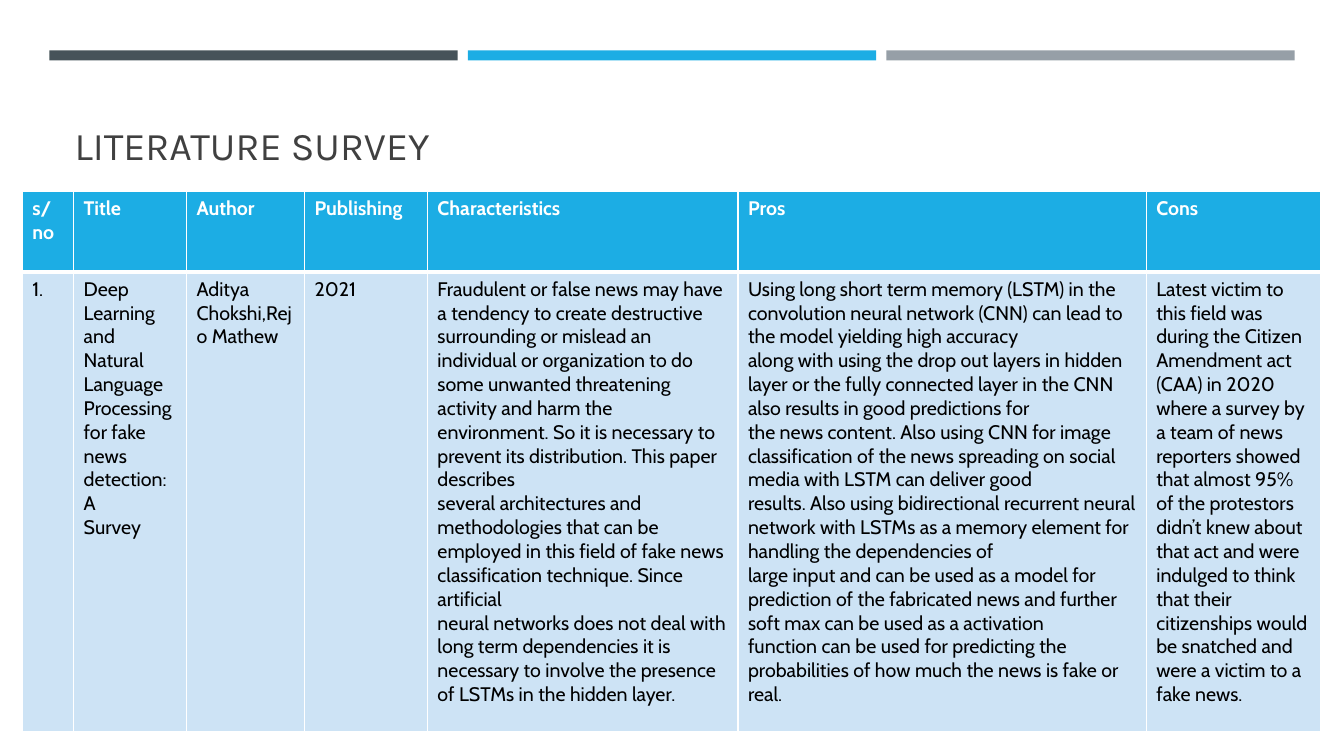
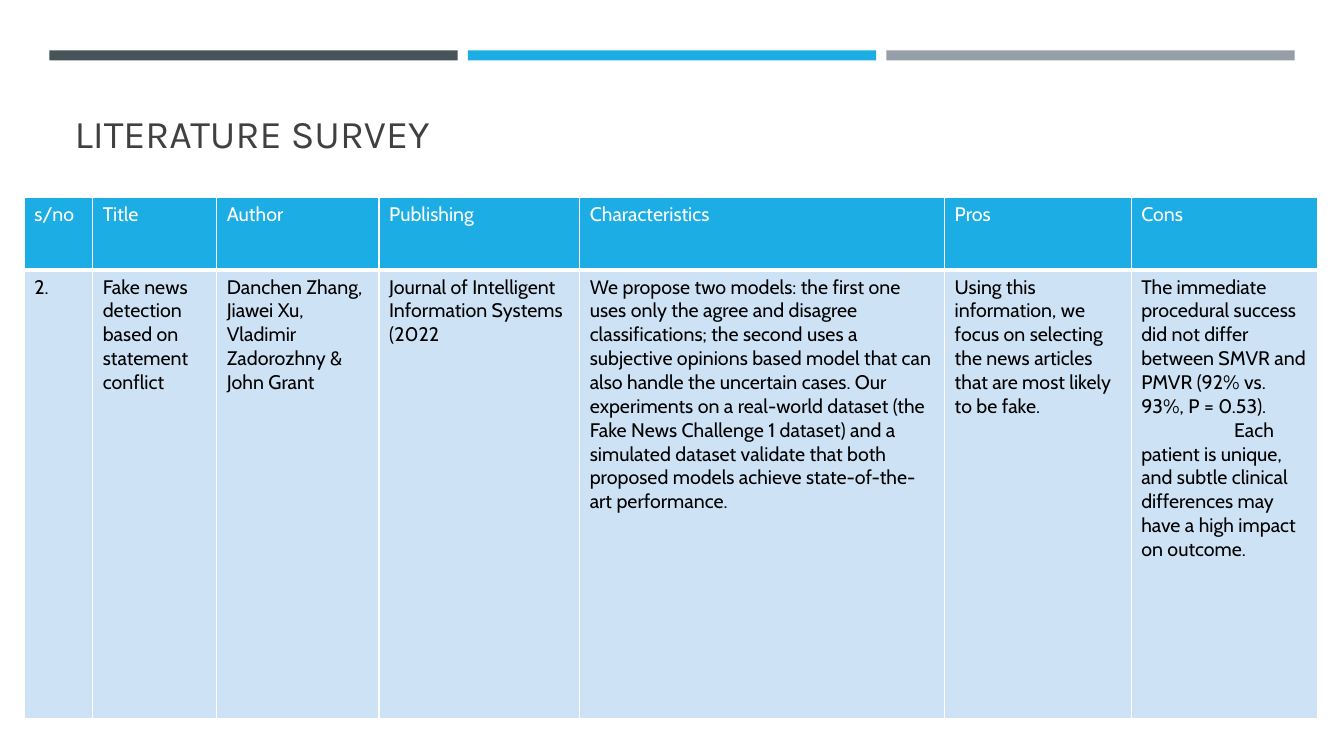
from lxml import etree
from pptx import Presentation
from pptx.dml.color import RGBColor
from pptx.enum.shapes import MSO_SHAPE
from pptx.enum.text import MSO_ANCHOR, PP_ALIGN
from pptx.oxml.ns import qn
from pptx.util import Inches, Pt

COLORS = {
    "dark": "465359",
    "blue": "1CADE4",
    "gray": "969FA7",
    "title": "404040",
    "pale": "CDE3F5",
    "white": "FFFFFF",
    "black": "000000",
}
HEADERS = ["s/no", "Title", "Author", "Publishing", "Characteristics", "Pros", "Cons"]

SURVEYS = [
    {
        "title_box": (0.64, 0.42, 12.06, 1.3),
        "origin": (0.22, 1.9),
        "cols": [0.51, 1.12, 1.17, 1.22, 3.08, 4.05, 1.73],
        "rows": [0.8, 4.56],
        "bold_header": True,
        "entry": [
            ["1."],
            ["Deep Learning and Natural Language Processing for fake news detection: A",
             "Survey"],
            ["Aditya Chokshi,Rejo Mathew"],
            ["2021"],
            ["Fraudulent or false news may have a tendency to create destructive surrounding "
             "or mislead an individual or organization to do",
             "some unwanted threatening activity and harm the environment. So it is necessary "
             "to prevent its distribution. This paper describes",
             "several architectures and methodologies that can be employed in this field of "
             "fake news classification technique. Since artificial",
             "neural networks does not deal with long term dependencies it is necessary to "
             "involve the presence of LSTMs in the hidden layer."],
            ["Using long short term memory (LSTM) in the convolution neural network (CNN) can "
             "lead to the model yielding high accuracy",
             "along with using the drop out layers in hidden layer or the fully connected layer "
             "in the CNN also results in good predictions for",
             "the news content. Also using CNN for image classification of the news spreading "
             "on social media with LSTM can deliver good",
             "results. Also using bidirectional recurrent neural network with LSTMs as a memory "
             "element for handling the dependencies of",
             "large input and can be used as a model for prediction of the fabricated news and "
             "further soft max can be used as a activation",
             "function can be used for predicting the probabilities of how much the news is "
             "fake or real."],
            ["Latest victim to this field was during the Citizen Amendment act (CAA) in 2020 "
             "where a survey by a team of news reporters showed that almost 95% of the "
             "protestors didn’t knew about that act and were indulged to think that their "
             "citizenships would be snatched and were a victim to a fake news."],
        ],
    },
    {
        "title_box": (0.64, 0.37, 12.06, 1.23),
        "origin": (0.24, 1.96),
        "cols": [0.68, 1.23, 1.61, 1.99, 3.62, 1.85, 1.85],
        "rows": [0.72, 4.45],
        "bold_header": False,
        "indent": ("Each patient", 0.92),
        "entry": [
            ["2."],
            ["Fake news detection based on statement conflict"],
            ["Danchen Zhang, Jiawei Xu, Vladimir Zadorozhny & John Grant"],
            ["Journal of Intelligent Information Systems (2022"],
            ["We propose two models: the first one uses only the agree and disagree "
             "classifications; the second uses a subjective opinions based model that can also "
             "handle the uncertain cases. Our experiments on a real-world dataset (the Fake "
             "News Challenge 1 dataset) and a simulated dataset validate that both proposed "
             "models achieve state-of-the-art performance."],
            ["Using this information, we focus on selecting the news articles that are most "
             "likely to be fake."],
            ["The immediate procedural success did not differ between SMVR and PMVR (92% vs. "
             "93%, P = 0.53).",
             "Each patient is unique, and subtle clinical differences may have a high impact "
             "on outcome."],
        ],
    },
]


def add_run(p, text, font, size, color, bold=False):
    r = p.add_run()
    r.text = text
    r.font.name = font
    r.font.size = Pt(size)
    r.font.bold = bold
    r.font.color.rgb = RGBColor.from_string(COLORS[color])


def set_borders(cell, top, bottom):
    tcPr = cell._tc.get_or_add_tcPr()
    sides = [("a:lnL", 1), ("a:lnR", 1), ("a:lnT", top), ("a:lnB", bottom)]
    for i, (tag, width) in enumerate(sides):
        ln = etree.Element(qn(tag), w=str(Pt(width)))
        fill = etree.SubElement(ln, qn("a:solidFill"))
        etree.SubElement(fill, qn("a:srgbClr"), val=COLORS["white"])
        tcPr.insert(i, ln)


prs = Presentation()
prs.slide_width = Inches(13.33)
prs.slide_height = Inches(7.5)
layout = prs.slide_layouts[5]
slides = [prs.slides.add_slide(layout) for _ in SURVEYS]

for i, color in enumerate(["dark", "blue", "gray"]):
    bar = slides[0].shapes.add_shape(
        MSO_SHAPE.RECTANGLE, Inches(0.49 + 4.15 * i), Inches(0.5), Inches(4.05), Inches(0.1))
    bar.shadow.inherit = False
    bar.fill.solid()
    bar.fill.fore_color.rgb = RGBColor.from_string(COLORS[color])
    bar.line.fill.background()
    prs.slide_master.shapes.element.append(bar.element)

for s, survey in zip(slides, SURVEYS):
    title = s.shapes.title
    title.left, title.top, title.width, title.height = map(Inches, survey["title_box"])
    tf = title.text_frame
    tf.word_wrap = True
    tf.vertical_anchor = MSO_ANCHOR.BOTTOM
    p = tf.paragraphs[0]
    p.alignment = PP_ALIGN.LEFT
    add_run(p, "LITERATURE SURVEY", "Karla", 28, "title")

    left, top = survey["origin"]
    table = s.shapes.add_table(
        2, len(HEADERS), Inches(left), Inches(top),
        Inches(sum(survey["cols"])), Inches(sum(survey["rows"]))).table
    table.first_row = False
    table.horz_banding = False
    for column, width in zip(table.columns, survey["cols"]):
        column.width = Inches(width)
    for row, height in zip(table.rows, survey["rows"]):
        row.height = Inches(height)

    indent_start, indent = survey.get("indent", (None, 0))
    styles = [
        ([[h] for h in HEADERS], "blue", "white", survey["bold_header"], 1, 3),
        (survey["entry"], "pale", "black", False, 3, 1),
    ]
    for row, (texts, fill, color, bold, above, below) in zip(table.rows, styles):
        for cell, paragraphs in zip(row.cells, texts):
            cell.fill.solid()
            cell.fill.fore_color.rgb = RGBColor.from_string(COLORS[fill])
            set_borders(cell, above, below)
            tf = cell.text_frame
            for i, text in enumerate(paragraphs):
                p = tf.add_paragraph() if i else tf.paragraphs[0]
                if indent_start and text.startswith(indent_start):
                    pPr = p._p.get_or_add_pPr()
                    pPr.set("marL", "0")
                    pPr.set("indent", str(Inches(indent)))
                add_run(p, text, "Cabin", 14, color, bold)

prs.save("out.pptx")
